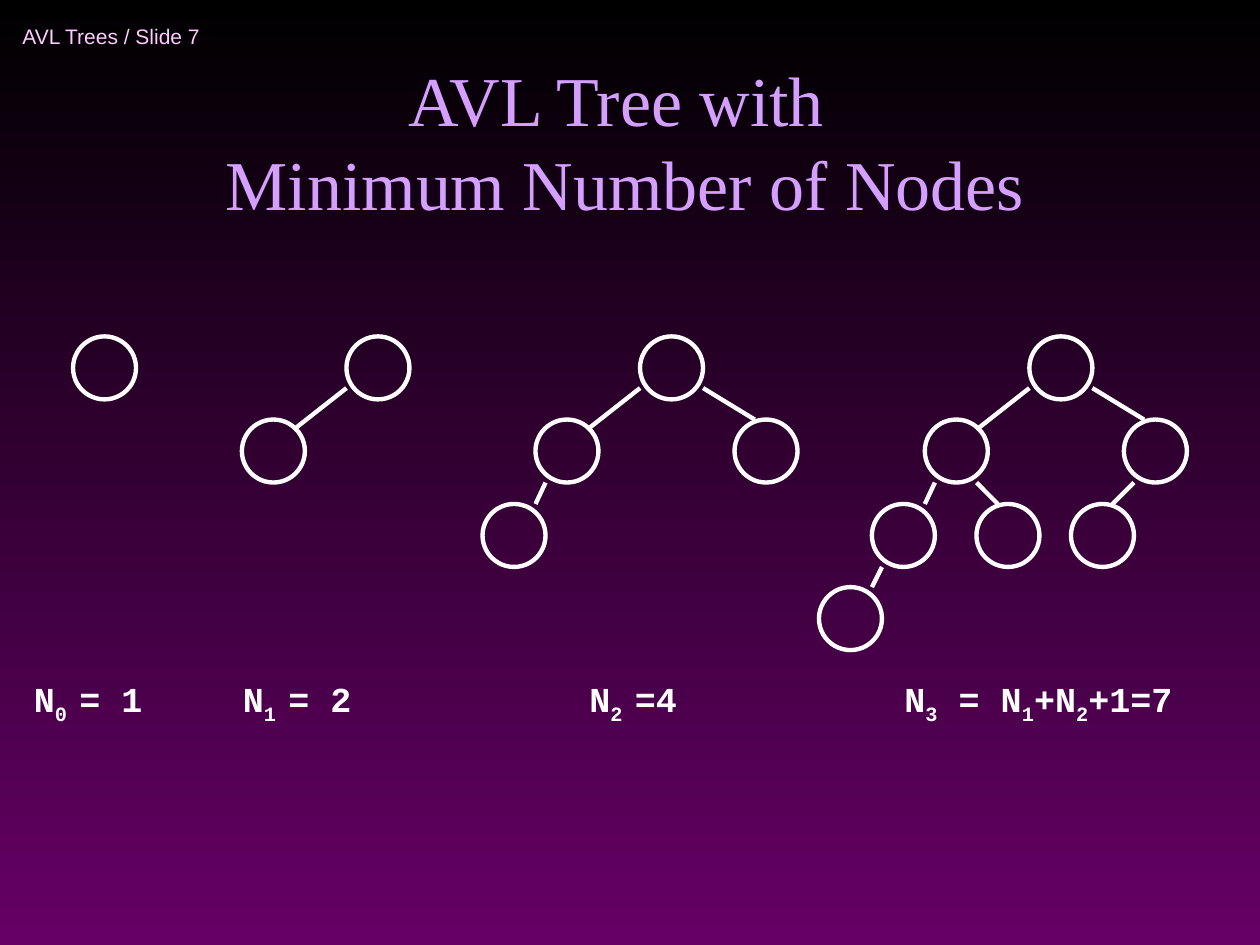
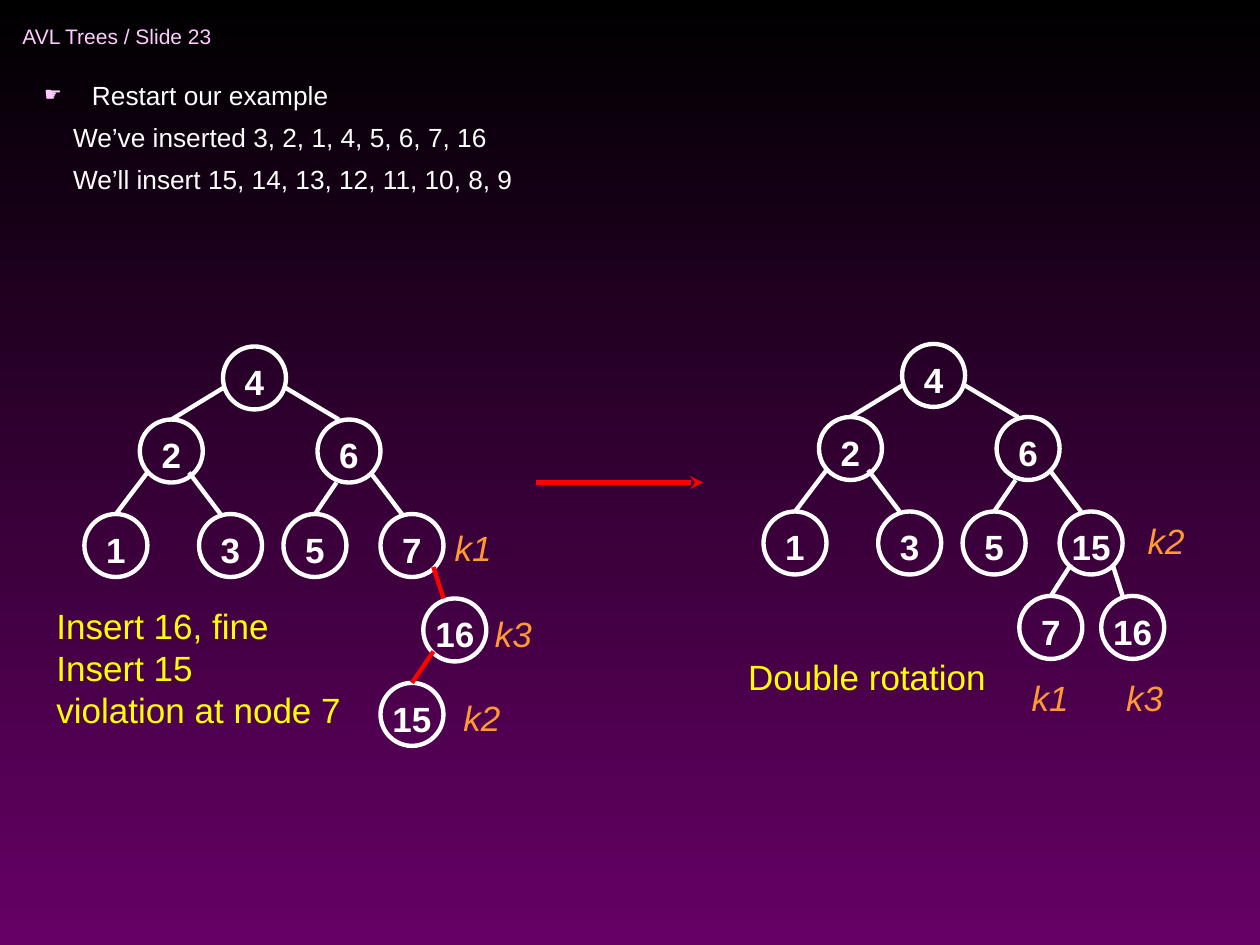
"""Build two slides on AVL trees: minimum node counts and a double rotation."""
from dataclasses import dataclass

import lxml.etree
import pptx
import pptx.dml.color
import pptx.enum.shapes
import pptx.enum.text
import pptx.oxml.ns
import pptx.util

Inches = pptx.util.Inches
Pt = pptx.util.Pt
qn = pptx.oxml.ns.qn

COLORS = {
    "top": "000000",
    "bottom": "660066",
    "header": "FFCCFF",
    "title": "D49FFF",
    "main": "FFFFFF",
    "violation": "FF0000",
    "note": "FFFF00",
    "key": "FF9933",
}
NODE_SIZE = 0.5
STROKE = 2.5


@dataclass(frozen=True)
class Edge:
    start: tuple[float, float]
    end: tuple[float, float]
    color: str = "main"


@dataclass(frozen=True)
class Node:
    x: float
    y: float
    edge: Edge | None = None
    value: str = ""


@dataclass(frozen=True)
class Label:
    text: str
    x: float
    y: float
    width: float
    height: float = 0.44
    color: str = "main"
    font: str = "Arial"
    size: float = 20
    bold: bool = False
    italic: bool = False


ROOT = Node(0, 0)
LEFT = Node(-0.83, 0.66, Edge((0, 0.41), (-0.42, 0.74)))
RIGHT = Node(0.75, 0.66, Edge((0.5, 0.41), (0.91, 0.66)))
LEFT_LEFT = Node(-1.25, 1.33, Edge((-0.75, 1.16), (-0.83, 1.33)))
LEFT_RIGHT = Node(-0.42, 1.33, Edge((-0.42, 1.16), (-0.25, 1.33)))
RIGHT_LEFT = Node(0.33, 1.33, Edge((0.83, 1.16), (0.66, 1.33)))
LEFTMOST = Node(-1.67, 1.99, Edge((-1.17, 1.83), (-1.25, 1.99)))

MINIMUM_TREES = [
    (0.58, [ROOT]),
    (2.75, [ROOT, LEFT]),
    (5.08, [ROOT, LEFT, RIGHT, LEFT_LEFT]),
    (8.17, [ROOT, LEFT, RIGHT, LEFT_LEFT, LEFT_RIGHT, RIGHT_LEFT, LEFTMOST]),
]
NODE_COUNTS = [
    (0.17, 1.33, "N_0 _= 1"),
    (1.83, 1.33, "N_1 _= 2"),
    (4.58, 1.33, "N_2 _=4"),
    (7.08, 2.83, "N_3_ = N_1_+N_2_+1=7"),
]

UNCHANGED = [
    Node(0, 0, value="4"),
    Node(-0.66, 0.58, Edge((0, 0.33), (-0.41, 0.58)), "2"),
    Node(0.75, 0.58, Edge((0.5, 0.33), (0.92, 0.58)), "6"),
    Node(-1.1, 1.33, Edge((-0.6, 1), (-0.85, 1.33)), "1"),
    Node(-0.19, 1.33, Edge((-0.27, 1), (-0.02, 1.33)), "3"),
    Node(0.48, 1.33, Edge((0.9, 1.08), (0.73, 1.33)), "5"),
]
TO_PIVOT = Edge((1.17, 1), (1.42, 1.33))
BEFORE = UNCHANGED + [
    Node(1.25, 1.33, TO_PIVOT, "7"),
    Node(1.59, 2, Edge((1.67, 1.75), (1.75, 2), "violation"), "16"),
    Node(1.25, 2.67, Edge((1.67, 2.42), (1.5, 2.67), "violation"), "15"),
]
AFTER = UNCHANGED + [
    Node(1.25, 1.33, TO_PIVOT, "15"),
    Node(0.93, 2, Edge((1.34, 1.75), (1.18, 2)), "7"),
    Node(1.58, 2, Edge((1.67, 1.75), (1.75, 2)), "16"),
]
NOTES = [
    ("Insert 16, fine\nInsert 15\nviolation at node 7", 0.35, 4.75, 2.6, 1.1),
    ("Double rotation", 5.84, 5.15, 2.2, 0.44),
]
KEYS = [
    ("k1", 3.51, 4.13),
    ("k3", 3.83, 4.81),
    ("k2", 3.58, 5.48),
    ("k2", 9.01, 4.07),
    ("k1", 8.09, 5.32),
    ("k3", 8.84, 5.32),
]
EXAMPLE_LINES = [
    "Restart our example",
    "We’ve inserted 3, 2, 1, 4, 5, 6, 7, 16",
    "We’ll insert 15, 14, 13, 12, 11, 10, 8, 9",
]


def rgb(color: str) -> pptx.dml.color.RGBColor:
    """Return the named palette colour."""
    return pptx.dml.color.RGBColor.from_string(COLORS[color])


def set_font(paragraph, name: str, size: float, color: str,
             bold: bool = False, italic: bool = False) -> None:
    """Format a whole paragraph."""
    font = paragraph.font
    font.name, font.size = name, Pt(size)
    font.bold, font.italic = bold, italic
    font.color.rgb = rgb(color)


def place(shape, x: float, y: float, width: float, height: float) -> None:
    """Move and size a placeholder."""
    shape.left, shape.top = Inches(x), Inches(y)
    shape.width, shape.height = Inches(width), Inches(height)


def draw_label(slide, label: Label):
    """Draw a text box whose underscores toggle subscripts."""
    box = slide.shapes.add_textbox(Inches(label.x), Inches(label.y),
                                   Inches(label.width), Inches(label.height))
    frame = box.text_frame
    frame.word_wrap = True
    paragraph = frame.paragraphs[0]
    if "_" in label.text:
        for index, part in enumerate(label.text.split("_")):
            run = paragraph.add_run()
            run.text = part
            if index % 2:
                run._r.get_or_add_rPr().set("baseline", "-25000")
    else:
        paragraph.text = label.text
    set_font(paragraph, label.font, label.size, label.color, label.bold, label.italic)
    return frame


def draw_line(slide, x: float, y: float, edge: Edge):
    """Draw an edge relative to an origin."""
    (x1, y1), (x2, y2) = edge.start, edge.end
    connector = slide.shapes.add_connector(
        pptx.enum.shapes.MSO_CONNECTOR.STRAIGHT,
        Inches(x + x1), Inches(y + y1), Inches(x + x2), Inches(y + y2))
    connector.line.color.rgb = rgb(edge.color)
    connector.line.width = Pt(STROKE)
    lxml.etree.SubElement(connector._element.spPr, qn("a:effectLst"))
    return connector


def draw_tree(slide, x: float, y: float, nodes: list[Node]) -> None:
    """Draw nodes and their parent edges from the root's corner."""
    for node in nodes:
        circle = slide.shapes.add_shape(
            pptx.enum.shapes.MSO_SHAPE.OVAL, Inches(x + node.x), Inches(y + node.y),
            Inches(NODE_SIZE), Inches(NODE_SIZE))
        circle.shadow.inherit = False
        circle.fill.background()
        circle.line.color.rgb = rgb("main")
        circle.line.width = Pt(STROKE)
        if node.value:
            frame = circle.text_frame
            frame.word_wrap = False
            frame.margin_left = frame.margin_right = frame.margin_bottom = 0
            frame.margin_top = Inches(0.06)
            frame.paragraphs[0].text = node.value
            frame.paragraphs[0].alignment = pptx.enum.text.PP_ALIGN.CENTER
            set_font(frame.paragraphs[0], "Arial", 20, "main", bold=True)
        if node.edge:
            draw_line(slide, x, y, node.edge)


def add_slide(deck, layout: int, number: int):
    """Add a slide with the shared header."""
    slide = deck.slides.add_slide(deck.slide_layouts[layout])
    header = draw_label(slide, Label(f"AVL Trees / Slide {number}", 0.08, 0.08, 2.75,
                                     0.42, "header", size=12))
    header.vertical_anchor = pptx.enum.text.MSO_ANCHOR.MIDDLE
    return slide


def set_background(deck) -> None:
    """Give the master its vertical gradient."""
    fill = deck.slide_master.background.fill
    fill.gradient()
    fill.gradient_angle = 270
    for stop, color in zip(fill.gradient_stops, ("top", "bottom")):
        stop.color.rgb = rgb(color)


def build_minimum_nodes(deck) -> None:
    """Build the slide of smallest AVL trees by height."""
    slide = add_slide(deck, 5, 7)
    title = slide.shapes.title
    place(title, 0.67, 0.58, 8.58, 1.25)
    frame = title.text_frame
    frame.auto_size = pptx.enum.text.MSO_AUTO_SIZE.NONE
    frame.vertical_anchor = pptx.enum.text.MSO_ANCHOR.BOTTOM
    heading = frame.paragraphs[0]
    heading.text = "AVL Tree with \nMinimum Number of Nodes"
    heading.alignment = pptx.enum.text.PP_ALIGN.CENTER
    set_font(heading, "Times New Roman", 40, "title")
    for x, nodes in MINIMUM_TREES:
        draw_tree(slide, x, 2.67, nodes)
    for x, width, text in NODE_COUNTS:
        draw_label(slide, Label(text, x, 5.33, width, 0.48, font="Courier New", bold=True))


def fill_example(body) -> None:
    """Write the bulleted line and its indented continuation."""
    place(body, 0.25, 0.58, 8.58, 1.08)
    frame = body.text_frame
    frame.auto_size = pptx.enum.text.MSO_AUTO_SIZE.NONE
    for index, text in enumerate(EXAMPLE_LINES):
        paragraph = frame.add_paragraph() if index else frame.paragraphs[0]
        paragraph.text = text
        paragraph.space_before = Pt(6)
        properties = paragraph._p.get_or_add_pPr()
        margin, indent = (0.23, 0) if index else (0.38, -0.38)
        properties.set("marL", str(Inches(margin)))
        properties.set("indent", str(Inches(indent)))
        if index:
            lxml.etree.SubElement(properties, qn("a:buNone"))
        else:
            tint = lxml.etree.SubElement(properties, qn("a:buClr"))
            lxml.etree.SubElement(tint, qn("a:srgbClr"), val=COLORS["header"])
            lxml.etree.SubElement(properties, qn("a:buSzPct"), val="75000")
            lxml.etree.SubElement(properties, qn("a:buChar"), char="☛")
        set_font(paragraph, "Arial", 15, "main")


def build_double_rotation(deck) -> None:
    """Build the slide of the tree before and after rotation."""
    slide = add_slide(deck, 1, 23)
    unused_title = slide.shapes.title._element
    unused_title.getparent().remove(unused_title)
    fill_example(slide.placeholders[1])
    draw_tree(slide, 1.77, 2.75, BEFORE)
    draw_tree(slide, 7.16, 2.73, AFTER)
    for note in NOTES:
        draw_label(slide, Label(*note, color="note"))
    for text, x, y in KEYS:
        draw_label(slide, Label(text, x, y, 0.6, color="key", italic=True))
    rotation = draw_line(slide, 4.25, 3.83, Edge((0, 0), (1.33, 0), "violation"))
    lxml.etree.SubElement(rotation.line._get_or_add_ln(), qn("a:tailEnd"), type="stealth")


def main() -> None:
    """Build and save the deck."""
    deck = pptx.Presentation()
    deck.slide_width, deck.slide_height = Inches(10), Inches(7.5)
    set_background(deck)
    build_minimum_nodes(deck)
    build_double_rotation(deck)
    deck.save("out.pptx")


if __name__ == "__main__":
    main()
